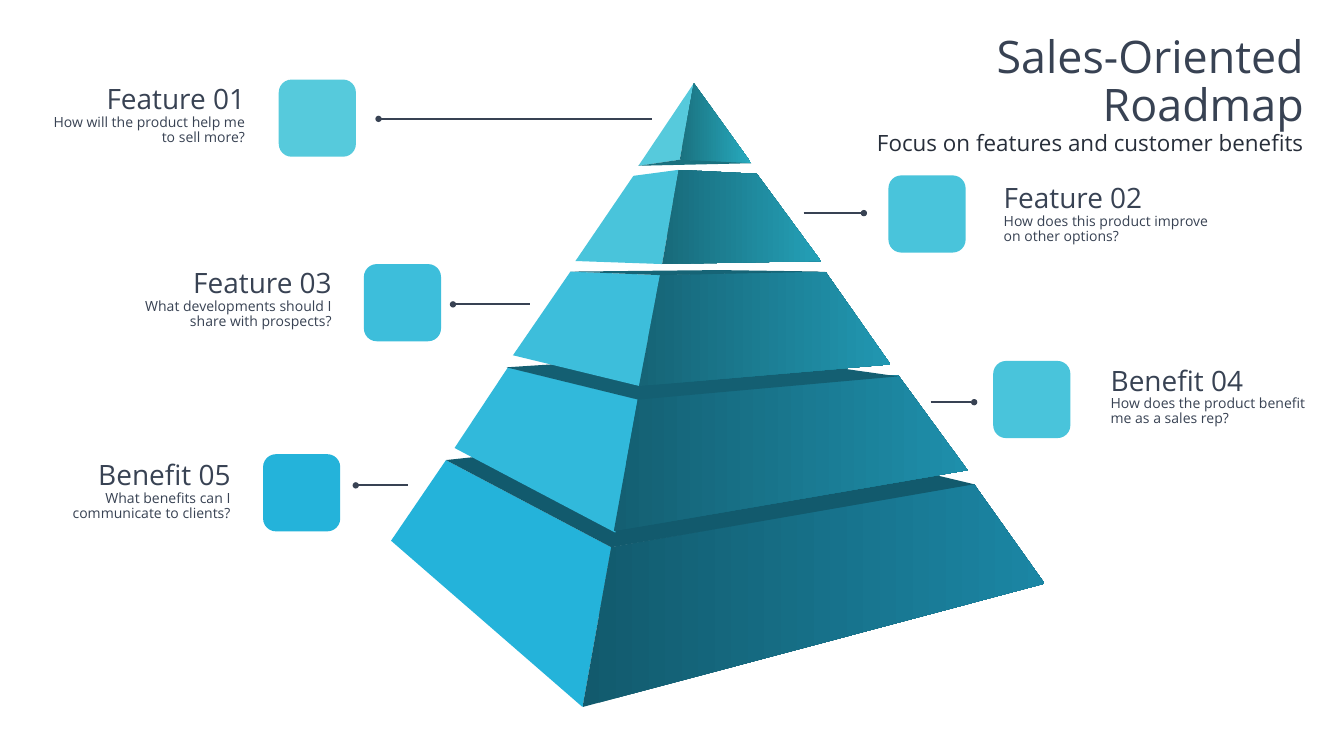
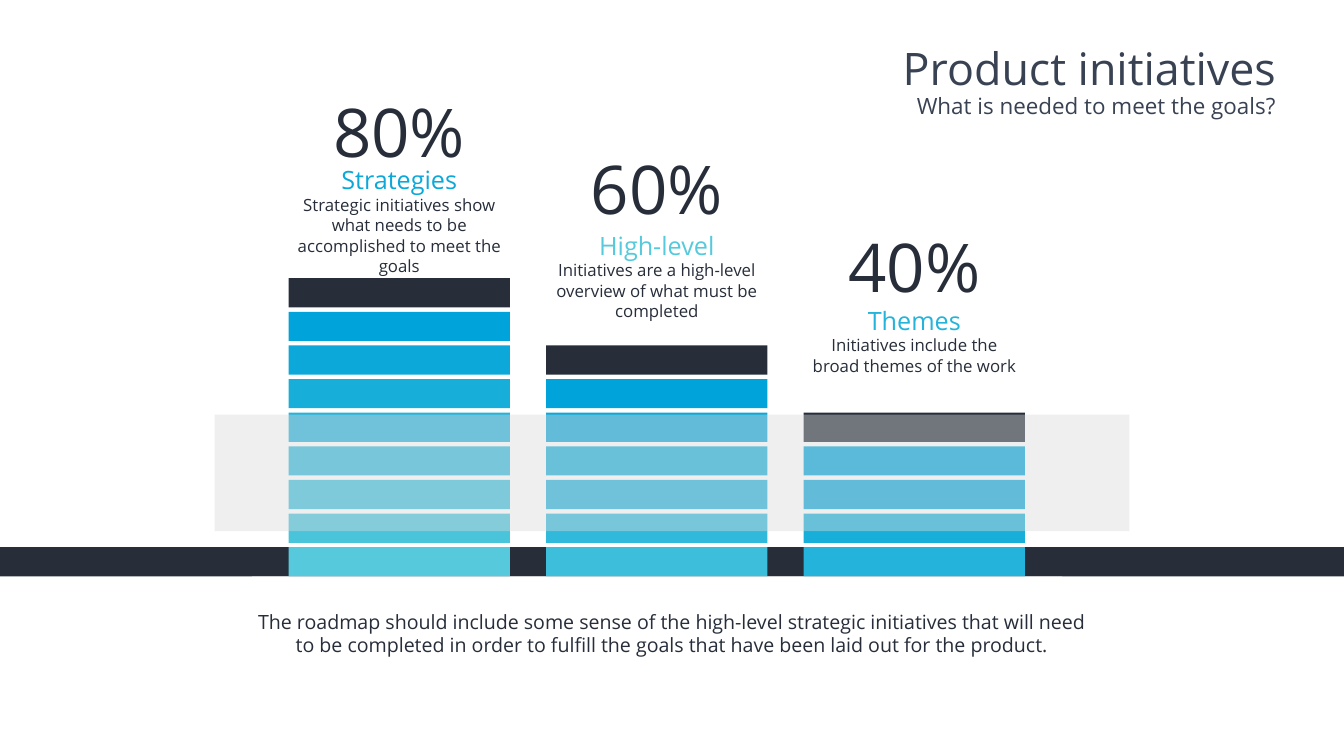
from lxml import etree
from pptx import Presentation
from pptx.dml.color import RGBColor
from pptx.enum.shapes import MSO_CONNECTOR, MSO_SHAPE
from pptx.enum.text import MSO_ANCHOR, MSO_AUTO_SIZE, PP_ALIGN
from pptx.oxml.ns import qn
from pptx.util import Cm, Pt

LEFT, CENTER, RIGHT = PP_ALIGN.LEFT, PP_ALIGN.CENTER, PP_ALIGN.RIGHT
TOP, MIDDLE = MSO_ANCHOR.TOP, MSO_ANCHOR.MIDDLE
RECT, ROUNDED = MSO_SHAPE.RECTANGLE, MSO_SHAPE.ROUNDED_RECTANGLE
FIXED, GROW = MSO_AUTO_SIZE.NONE, MSO_AUTO_SIZE.SHAPE_TO_FIT_TEXT
STRAIGHT = MSO_CONNECTOR.STRAIGHT

SLIDE_W, SLIDE_H = 67.74, 38.1
FONT = "Open Sans"
SLATE, INK, WHITE, GREY = "384253", "272E3A", "FFFFFF", "D9D9D9"
# Light to strong blue, shared by the pyramid tiers and the columns
RAMP = ["56CADC", "49C4DB", "3DBEDB", "31B9DB",
        "24B3DA", "18AEDA", "0CA8DA", "00A3DA"]

# Pyramid grid: 1297 units wide; every tier has a left, a right and a flat face
PYRAMID_UNITS = 1297
TIERS = [  # ramp step, dark and light end of the right face, faces
    (4, "125A6D", "1B86A4",
     [(0, 908), (109, 748), (437, 921), (380, 1238)],
     [(437, 921), (1157, 796), (1297, 993), (380, 1238)],
     [(109, 748), (695, 686), (1157, 796), (437, 921)]),
    (3, "145F72", "1E8FAB",
     [(126, 724), (232, 564), (493, 628), (445, 892)],
     [(490, 625), (1006, 579), (1144, 768), (442, 889)],
     [(229, 564), (675, 535), (1006, 582), (490, 628)]),
    (2, "166476", "2197B1",
     [(242, 540), (356, 374), (534, 381), (493, 601)],
     [(534, 381), (492, 601), (991, 558), (862, 374)],
     [(356, 374), (651, 371), (862, 374), (534, 381)]),
    (1, "186A7A", "24A0B7",
     [(366, 353), (481, 184), (571, 172), (538, 359)],
     [(571, 172), (726, 180), (853, 353), (538, 359)],
     None),
    (0, "1A717F", "27AABE",
     [(491, 164), (601, 0), (573, 152)],
     [(601, 0), (715, 159), (573, 152)],
     [(491, 164), (573, 152), (715, 159)]),
]

CALLOUTS = [  # heading, question, ramp step, text at, icon at, line from, to, y
    ("Feature 01", "How will the product help me to sell more?",
     0, (1.75, 4.19), (14.05, 4.01), (32.84, 19.08, 5.99)),
    ("Feature 02", "How does this product improve on other options?",
     1, (50.34, 9.14), (44.78, 8.84), (40.51, 43.54, 10.74)),
    ("Feature 03", "What developments should I share with prospects?",
     2, (6.12, 13.44), (18.34, 13.31), (26.7, 22.83, 15.34)),
    ("Benefit 04", "How does the product benefit me as a sales rep?",
     1, (55.73, 18.36), (50.06, 18.19), (46.91, 49.1, 20.27)),
    ("Benefit 05", "What benefits can I communicate to clients?",
     4, (1.02, 23.14), (13.26, 22.89), (20.55, 17.93, 24.46)),
]

BAND_TOP, BLOCK_W, BLOCK_H = 27.58, 11.15, 1.47
BLOCK_PITCH = 13.56 / 8
COLUMN_LEFT, COLUMN_PITCH = 14.55, 12.98
COLUMNS = [  # share, its top, heading, heading step, text, text top and height
    ("80%", 4.45, "Strategies", 6,
     "Strategic initiatives show what needs to be accomplished to meet the goals",
     8.18, 4.88),
    ("60%", 7.29, "High-level", 0,
     "Initiatives are a high-level overview of what must be completed",
     11.46, 4.88),
    ("40%", 11.23, "Themes", 4,
     "Initiatives include the broad themes of the work",
     15.24, 3.84),
]


def color(hex_code):
    return RGBColor.from_string(hex_code)


def cm_box(box):
    return [Cm(length) for length in box]


def paint(shape, hex_code, alpha=None):
    shape.shadow.inherit = False
    shape.line.fill.background()
    shape.fill.solid()
    shape.fill.fore_color.rgb = color(hex_code)
    if alpha is not None:
        tone = shape.fill._xPr.find(".//" + qn("a:srgbClr"))
        etree.SubElement(tone, qn("a:alpha")).set("val", str(alpha * 1000))


def add_block(slide, kind, box, hex_code, alpha=None):
    paint(slide.shapes.add_shape(kind, *cm_box(box)), hex_code, alpha)


def write(shape, lines, align, spacing=1.0, anchor=TOP, fit=GROW, wrap=True):
    """Fill a shape with lines of (text, size, colour)."""
    frame = shape.text_frame
    frame.word_wrap = wrap
    frame.auto_size = fit
    frame.vertical_anchor = anchor
    for index, (text, size, hex_code) in enumerate(lines):
        paragraph = frame.add_paragraph() if index else frame.paragraphs[0]
        paragraph.alignment = align
        paragraph.line_spacing = spacing
        run = paragraph.add_run()
        run.text = text
        run.font.name = FONT
        run.font.size = Pt(size)
        run.font.color.rgb = color(hex_code)


def add_text(slide, box, lines, align, **options):
    write(slide.shapes.add_textbox(*cm_box(box)), lines, align, **options)


def add_titled_slide(deck, box, title, subtitle, subtitle_color):
    slide = deck.slides.add_slide(deck.slide_layouts[5])
    heading = slide.shapes.title
    heading.left, heading.top, heading.width, heading.height = cm_box(box)
    inset = Cm(0.25)
    frame = heading.text_frame
    frame.margin_left = frame.margin_right = inset
    write(heading, [(title, 64, SLATE), (subtitle, 32, subtitle_color)],
          RIGHT, spacing=0.9, fit=FIXED)
    return slide


def add_pyramid(slide, left, top, width):
    scale = Cm(width) / PYRAMID_UNITS

    def add_face(points, hex_code):
        builder = slide.shapes.build_freeform(*points[0], scale=scale)
        builder.add_line_segments(points[1:], close=True)
        face = builder.convert_to_shape(Cm(left), Cm(top))
        paint(face, hex_code)
        return face

    for step, dark, light, left_side, right_side, flat in TIERS:
        faces = [add_face(left_side, RAMP[step]), add_face(right_side, dark)]
        fill = faces[1].fill
        fill.gradient()
        fill.gradient_angle = 0
        for stop, hex_code in zip(fill.gradient_stops, (dark, light)):
            stop.color.rgb = color(hex_code)
        if flat:
            faces.append(add_face(flat, dark))
        slide.shapes.add_group_shape(faces)


def add_pointer(slide, start, end, y):
    pointer = slide.shapes.add_connector(
        STRAIGHT, Cm(start), Cm(y), Cm(end), Cm(y))
    pointer.line.color.rgb = color(SLATE)
    pointer.line.width = Pt(3)
    line = pointer.line._get_or_add_ln()
    etree.SubElement(line, qn("a:tailEnd")).set("type", "oval")
    etree.SubElement(pointer._element.spPr, qn("a:effectLst"))


def add_callout(slide, heading, question, step, text_at, icon_at, pointer):
    align = RIGHT if text_at[0] < SLIDE_W / 2 else LEFT
    add_pointer(slide, *pointer)
    add_text(slide, (*text_at, 10.85, 3.3),
             [(heading, 40, SLATE), (question, 20, SLATE)],
             align, spacing=0.89, anchor=MIDDLE)
    add_block(slide, ROUNDED, (*icon_at, 3.89, 3.89), RAMP[step])


def add_column(slide, left, tones):
    for level, tone in enumerate(tones):
        top = BAND_TOP - level * BLOCK_PITCH
        add_block(slide, RECT, (left, top, BLOCK_W, BLOCK_H), tone)


def add_column_text(slide, left, share, share_top, heading, step, text, top, height):
    add_text(slide, (left, top, BLOCK_W, height),
             [(heading, 36, RAMP[step]), (text, 24, INK)], CENTER)
    share_w = 7.16
    share_left = left + (BLOCK_W - share_w) / 2
    add_text(slide, (share_left, share_top, share_w, 4.37),
             [(share, 96, INK)], CENTER, wrap=False)


def build_roadmap(deck):
    slide = add_titled_slide(deck, (40.26, 1.63, 25.7, 4.55),
                             "Sales-Oriented Roadmap",
                             "Focus on features and customer benefits", INK)
    add_pyramid(slide, 19.71, 4.19, 32.94)
    for callout in CALLOUTS:
        add_callout(slide, *callout)


def build_initiatives(deck):
    slide = add_titled_slide(deck, (29.41, 2.24, 35.15, 4.17),
                             "Product initiatives",
                             "What is needed to meet the goals?", SLATE)
    # Ground band and columns, each two blocks shorter than the one before
    add_block(slide, RECT, (0, BAND_TOP, SLIDE_W, BLOCK_H), INK)
    for index, column in enumerate(COLUMNS):
        left = COLUMN_LEFT + index * COLUMN_PITCH
        add_column(slide, left, RAMP[2 * index:] + [INK])
        add_column_text(slide, left, *column)
    # Ground below the band and the veil across the columns
    add_block(slide, RECT, (12.7, 29.06, 40.84, 11.86 - 2.82), WHITE)
    add_block(slide, RECT, (10.82, 20.9, 46.1, 5.87), GREY, alpha=42)
    # Closing statement
    add_text(slide, (12.57, 30.61, 42.57, 2.64),
             [("The roadmap should include some sense of the high-level "
               "strategic initiatives that will need to be completed in order "
               "to fulfill the goals that have been laid out for the product.",
               28, INK)], CENTER)


def main():
    deck = Presentation()
    deck.slide_width, deck.slide_height = Cm(SLIDE_W), Cm(SLIDE_H)
    build_roadmap(deck)
    build_initiatives(deck)
    deck.save("out.pptx")


if __name__ == "__main__":
    main()
